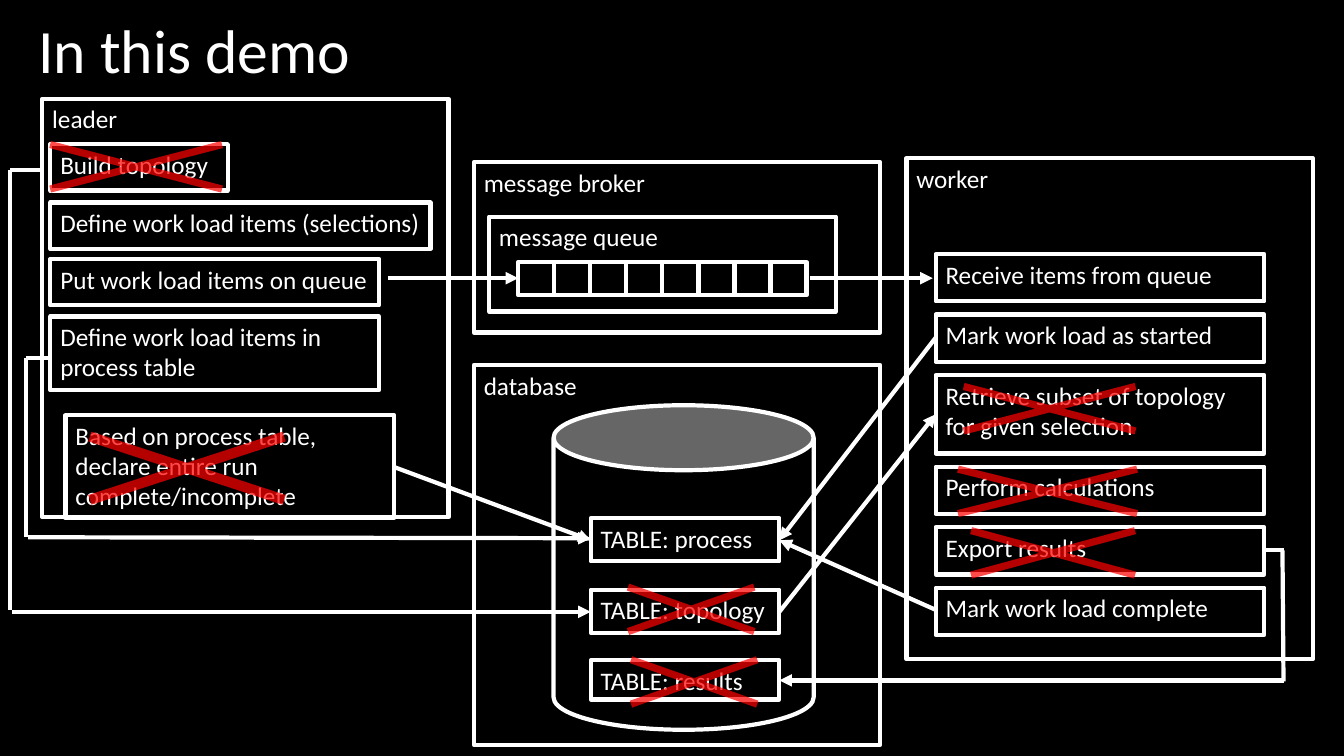
from lxml.etree import SubElement
from pptx import Presentation
from pptx.dml.color import RGBColor
from pptx.enum.shapes import MSO_CONNECTOR, MSO_SHAPE
from pptx.enum.text import MSO_ANCHOR, PP_ALIGN
from pptx.oxml.ns import qn
from pptx.util import Inches, Pt

THEME = {
    "background": RGBColor(0, 0, 0),
    "ink": RGBColor(255, 255, 255),
    "cross": RGBColor(255, 0, 0),
    "cross_alpha": "71000",
    "line": Pt(3),
    "title": {"name": "Calibri", "size": Pt(44), "bold": False},
    "body": {"name": "Calibri", "size": Pt(18), "bold": False},
}
FRAME = {"word_wrap": True, "vertical_anchor": MSO_ANCHOR.TOP}
TITLE_FRAME = {"word_wrap": True, "vertical_anchor": MSO_ANCHOR.MIDDLE}

deck = Presentation()
deck.slide_width, deck.slide_height = Inches(13.33), Inches(7.5)
page = deck.slides.add_slide(deck.slide_layouts[5])
page.background.fill.solid()
page.background.fill.fore_color.rgb = THEME["background"]


def write(box, text, font, frame):
    for name, value in frame.items():
        setattr(box.text_frame, name, value)
    para = box.text_frame.paragraphs[0]
    para.alignment = PP_ALIGN.LEFT
    span = para.add_run()
    span.text = text
    for name, value in font.items():
        setattr(span.font, name, value)
    span.font.color.rgb = THEME["ink"]
    return para


def outline(kind, left, top, width, height, text=""):
    box = page.shapes.add_shape(
        kind, Inches(left), Inches(top), Inches(width), Inches(height))
    box.shadow.inherit = False
    box.fill.background()
    box.line.color.rgb = THEME["ink"]
    box.line.width = THEME["line"]
    if text:
        write(box, text, THEME["body"], FRAME)
    return box


# Title
title = page.shapes.title
place = {"left": 0.28, "top": 0.02, "width": 11.5, "height": 1.03}
for name, value in place.items():
    setattr(title, name, Inches(value))
write(title, "In this demo", THEME["title"], TITLE_FRAME).line_spacing = 0.9

# Components
components = [
    (0.42, 0.98, 4.15, "leader"),
    (8.99, 1.57, 4.97, "worker"),
    (4.7, 1.61, 1.69, "message broker"),
    (4.7, 3.62, 3.77, "database"),
]
for left, top, height, text in components:
    outline(MSO_SHAPE.RECTANGLE, left, top, 4.03, height, text)

# Database cylinder and its tables
cylinder = outline(MSO_SHAPE.CAN, 5.49, 4.02, 2.58, 3.22)
cylinder.fill.solid()
cylinder.fill.fore_color.rgb = THEME["background"]
tables = [(5.14, 0.43, "process"), (5.85, 0.43, "topology"), (6.55, 0.39, "results")]
for top, height, name in tables:
    outline(MSO_SHAPE.RECTANGLE, 5.86, top, 1.87, height, f"TABLE: {name}")

# Leader steps
leader_steps = [
    (0.5, 1.43, 1.76, 0.46, "Build topology"),
    (0.5, 2.01, 3.77, 0.46, "Define work load items (selections)"),
    (0.5, 2.57, 3.26, 0.46, "Put work load items on queue"),
    (0.5, 3.14, 3.26, 0.73, "Define work load items in process table"),
    (0.65, 4.12, 3.26, 1.02,
     "Based on process table, declare entire run complete/incomplete"),
]
for step in leader_steps:
    outline(MSO_SHAPE.RECTANGLE, *step)

# Message queue with eight slots
outline(MSO_SHAPE.RECTANGLE, 4.85, 2.15, 3.44, 0.94, "message queue")
slot_width = 2.86 / 8
for slot in range(8):
    outline(MSO_SHAPE.RECTANGLE, 5.14 + slot * slot_width, 2.6, slot_width, 0.33)

# Worker steps, stacked with equal gaps
worker_steps = [
    (0.47, "Receive items from queue"),
    (0.47, "Mark work load as started"),
    (0.78, "Retrieve subset of topology for given selection"),
    (0.47, "Perform calculations"),
    (0.47, "Export results"),
    (0.47, "Mark work load complete"),
]
top = 2.52
for height, text in worker_steps:
    outline(MSO_SHAPE.RECTANGLE, 9.28, top, 3.26, height, text)
    top += height + 0.13

# Flows: start, end, arrowhead
flows = [
    # work items through the queue
    (3.85, 2.76, 5.14, 2.76, True),
    (8.03, 2.76, 9.25, 2.76, True),
    # leader to topology table
    (0.42, 1.69, 0.1, 1.69, False),
    (0.1, 1.69, 0.1, 6.05, False),
    (0.12, 6.07, 5.86, 6.07, True),
    # leader to process table
    (0.5, 3.55, 0.26, 3.55, False),
    (0.26, 3.55, 0.26, 5.33, False),
    (0.28, 5.33, 5.86, 5.34, True),
    (3.9, 4.63, 5.86, 5.36, True),
    # worker and the process and topology tables
    (9.28, 3.35, 7.73, 5.36, True),
    (9.28, 6.05, 7.73, 5.36, True),
    (7.73, 6.07, 9.28, 4.11, True),
    # worker to results table
    (12.54, 5.46, 12.73, 5.46, False),
    (12.72, 5.46, 12.73, 6.76, False),
    (12.73, 6.75, 7.73, 6.75, True),
]
for *ends, has_arrow in flows:
    flow = page.shapes.add_connector(
        MSO_CONNECTOR.STRAIGHT, *[Inches(value) for value in ends])
    flow.line.color.rgb = THEME["ink"]
    flow.line.width = THEME["line"]
    if has_arrow:
        SubElement(flow.line._get_or_add_ln(), qn("a:tailEnd"), type="triangle")
    SubElement(flow._element.spPr, qn("a:effectLst"))

# Crosses over the parts left out
crosses = [
    (5.65, 5.62, 2.41, 0.85),
    (5.68, 6.34, 2.41, 0.85),
    (8.68, 4.45, 3.42, 0.85),
    (8.77, 3.63, 3.28, 0.85),
    (8.88, 5.06, 3.13, 0.85),
    (0, 4.04, 3.71, 1.21),
    (-0.29, 1.23, 3.28, 0.85),
]
for area in crosses:
    cross = outline(MSO_SHAPE.MATH_MULTIPLY, *area)
    cross.adjustments[0] = 0.084
    cross.line.fill.background()
    cross.fill.solid()
    cross.fill.fore_color.rgb = THEME["cross"]
    color = cross._element.spPr.find(qn("a:solidFill"))[0]
    SubElement(color, qn("a:alpha"), val=THEME["cross_alpha"])

deck.save("out.pptx")
